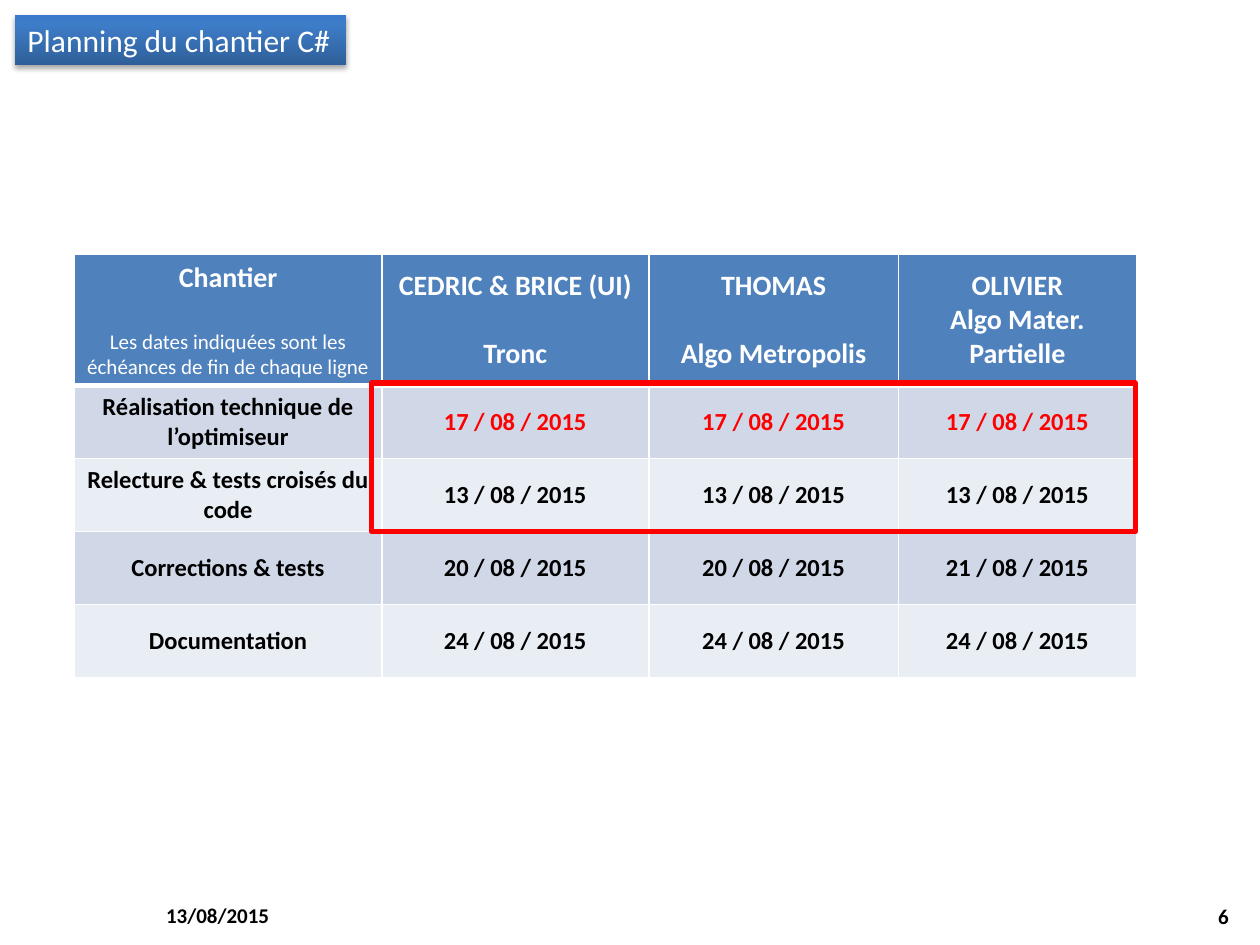
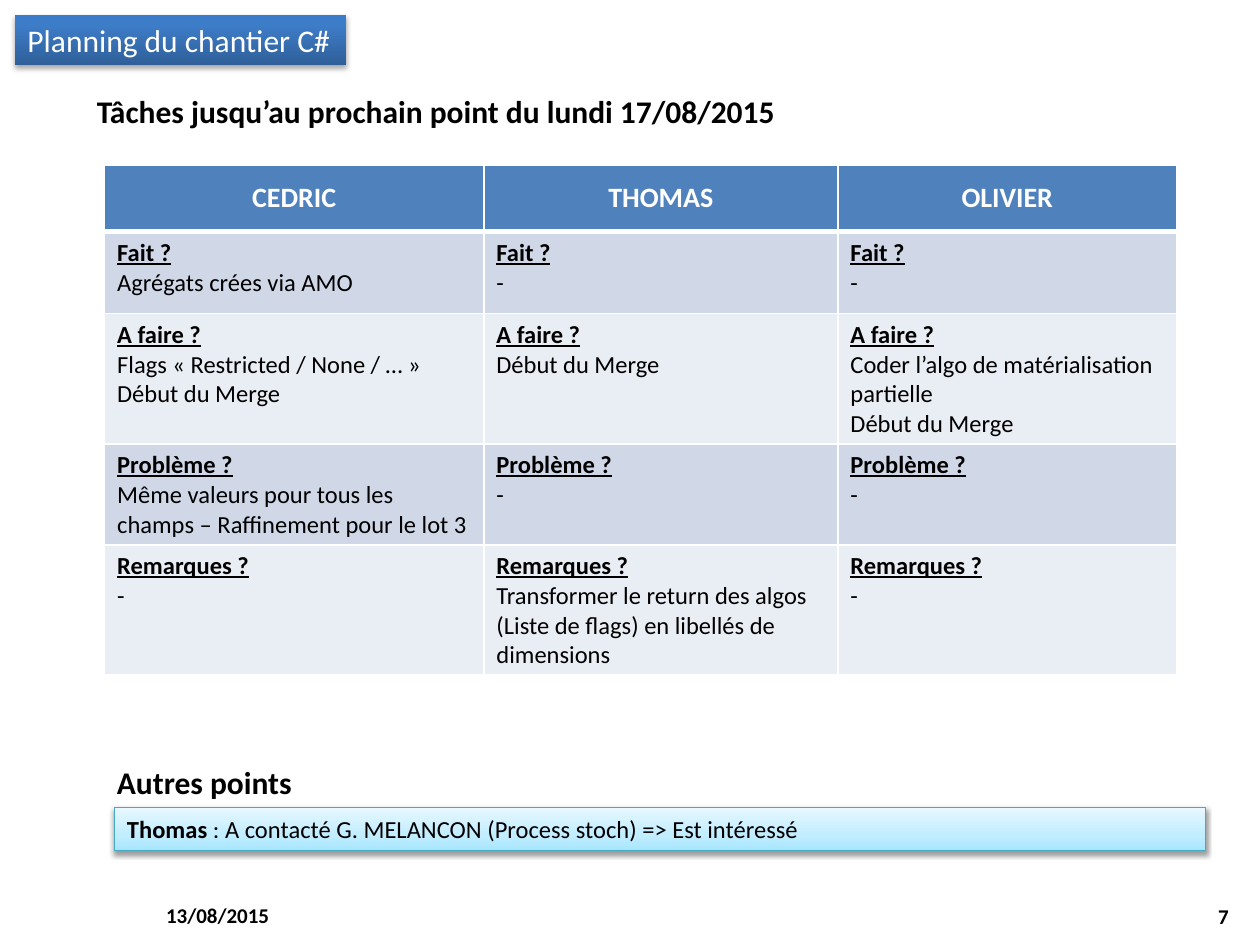
from lxml import etree
from pptx import Presentation
from pptx.dml.color import RGBColor
from pptx.enum.shapes import MSO_SHAPE
from pptx.enum.text import MSO_ANCHOR, PP_ALIGN
from pptx.oxml.ns import qn
from pptx.util import Inches, Pt

RECTANGLE = MSO_SHAPE.RECTANGLE
TOP, MIDDLE = MSO_ANCHOR.TOP, MSO_ANCHOR.MIDDLE
LEFT, CENTER, RIGHT = PP_ALIGN.LEFT, PP_ALIGN.CENTER, PP_ALIGN.RIGHT

FONT = "Calibri"
GRID_UNIT = Inches(0.1)
COLORS = {
    "white": "FFFFFF", "black": "000000", "red": "FF0000",
    "header": "4F81BD", "odd_row": "D0D8E8", "even_row": "E9EDF4",
    "note_line": "46AAC5",
}
TITLE_GRADIENT = [(0, "2F5F99"), (80, "3D7CC7"), (100, "3A7CCB")]
NOTE_GRADIENT = [(0, "A7E6FF"), (35, "C1EDFF"), (100, "E7F8FF")]

TITLE = "Planning du chantier C#"
MEETING_DATE = "13/08/2015"

DEADLINE_HEADERS = [
    ("Chantier", "Les dates indiquées sont les échéances de fin de chaque ligne"),
    ("CEDRIC & BRICE (UI)", "Tronc"),
    ("THOMAS", "Algo Metropolis"),
    ("OLIVIER", "Algo Mater. Partielle"),
]
DEADLINES = [
    ("Réalisation technique de l’optimiseur", ["17"] * 3),
    ("Relecture & tests croisés du code", ["13"] * 3),
    ("Corrections & tests", ["20", "20", "21"]),
    ("Documentation", ["24"] * 3),
]
PEOPLE = ["CEDRIC", "THOMAS", "OLIVIER"]
TASKS = [
    ("Fait ?", [["Agrégats crées via AMO"], ["-"], ["-"]]),
    ("A faire ?", [
        ["Flags « Restricted / None / … »", "Début du Merge"],
        ["Début du Merge"],
        ["Coder l’algo de matérialisation partielle", "Début du Merge"],
    ]),
    ("Problème ?", [
        ["Même valeurs pour tous les champs – Raffinement pour le lot 3"],
        ["-"], ["-"],
    ]),
    ("Remarques ?", [
        ["-"],
        ["Transformer le return des algos (Liste de flags) en libellés de dimensions"],
        ["-"],
    ]),
]


def grid(*units):
    return [round(unit * GRID_UNIT) for unit in units]


def rgb(name):
    return RGBColor.from_string(COLORS[name])


def add_text(paragraph, text, size=14, color="black", bold=False,
             underline=False, align=LEFT, before=0):
    paragraph.alignment = align
    paragraph.space_before = Pt(before)
    run = paragraph.add_run()
    run.text = text
    font = run.font
    font.name, font.size = FONT, Pt(size)
    font.bold, font.underline = bold, underline
    font.color.rgb = rgb(color)


def add_lines(frame, lines):
    for index, (text, style) in enumerate(lines):
        paragraph = frame.add_paragraph() if index else frame.paragraphs[0]
        add_text(paragraph, text, **style)


def add_label(slide, box, text, anchor=TOP, wrap=False, **style):
    frame = slide.shapes.add_textbox(*grid(*box)).text_frame
    frame.word_wrap = wrap
    frame.vertical_anchor = anchor
    add_text(frame.paragraphs[0], text, **style)


def add_rectangle(slide, box, line=None, width=0.75):
    shape = slide.shapes.add_shape(RECTANGLE, *grid(*box))
    shape.shadow.inherit = False
    shape.fill.background()
    if line:
        shape.line.color.rgb = rgb(line)
        shape.line.width = Pt(width)
    else:
        shape.line.fill.background()
    return shape


def add_color(parent, value):
    return etree.SubElement(parent, qn("a:srgbClr"), val=value)


def add_band(slide, box, stops, opacity, distance, line=None, wrap=True):
    shape = add_rectangle(slide, box, line)
    shape.fill.gradient()
    shape.fill.gradient_angle = 90
    properties = shape._element.spPr
    stop_list = properties.find(".//" + qn("a:gsLst"))
    for stop in list(stop_list):
        stop_list.remove(stop)
    for position, color in stops:
        stop = etree.SubElement(stop_list, qn("a:gs"), pos=str(position * 1000))
        add_color(stop, color)
    shadow = etree.SubElement(
        properties.find(qn("a:effectLst")), qn("a:outerShdw"),
        blurRad=str(Pt(3.1)), dist=str(Pt(distance)), dir="5400000",
        rotWithShape="0")
    shadow_color = add_color(shadow, COLORS["black"])
    etree.SubElement(shadow_color, qn("a:alpha"), val=str(opacity * 1000))
    frame = shape.text_frame
    frame.word_wrap = wrap
    frame.vertical_anchor = TOP
    return frame.paragraphs[0]


def set_borders(cell, top, bottom):
    properties = cell._tc.get_or_add_tcPr()
    widths = [("L", 1), ("R", 1), ("T", top), ("B", bottom)]
    for index, (side, width) in enumerate(widths):
        border = etree.Element(qn("a:ln" + side), w=str(Pt(width)))
        add_color(etree.SubElement(border, qn("a:solidFill")), COLORS["white"])
        properties.insert(index, border)


def add_table(slide, left, top, columns, rows, contents, body_anchor):
    box = grid(left, top, sum(columns), sum(rows))
    table = slide.shapes.add_table(len(rows), len(columns), *box).table
    for column, width in zip(table.columns, grid(*columns)):
        column.width = width
    for row, height in zip(table.rows, grid(*rows)):
        row.height = height
    for row_index, row_contents in enumerate(contents):
        header = row_index == 0
        stripe = "odd_row" if row_index % 2 else "even_row"
        for column_index, lines in enumerate(row_contents):
            cell = table.cell(row_index, column_index)
            cell.fill.solid()
            cell.fill.fore_color.rgb = rgb("header" if header else stripe)
            cell.vertical_anchor = MIDDLE if header else body_anchor
            set_borders(cell, 3 if row_index == 1 else 1, 3 if header else 1)
            add_lines(cell.text_frame, lines)


def add_planning_slide(presentation, number):
    slide = presentation.slides.add_slide(presentation.slide_layouts[6])
    footer = {"anchor": MIDDLE, "wrap": True, "size": 12, "bold": True}
    add_label(slide, (12.2, 70.6, 23.3, 4), MEETING_DATE, **footer)
    add_label(slide, (75.2, 70.7, 23.3, 4), str(number), align=RIGHT, **footer)
    title = add_band(slide, (1.2, 1.2, 26.3, 4), TITLE_GRADIENT, 35, 1.8, wrap=False)
    add_text(title, TITLE, size=18, color="white")
    return slide


def build_deadlines(presentation):
    slide = add_planning_slide(presentation, 6)
    heading = {"size": 16, "color": "white", "bold": True, "align": CENTER}
    caption = {**heading, "size": 12, "bold": False, "before": 19.5}
    body = {"bold": True, "align": CENTER}
    header_row = []
    for name, topic in DEADLINE_HEADERS:
        if name == "Chantier":
            topic_style = caption
        else:
            topic_style = {**heading, "before": 0 if name == "OLIVIER" else 19.5}
        header_row.append([(name, heading), (topic, topic_style)])
    contents = [header_row]
    for index, (stage, days) in enumerate(DEADLINES):
        date_style = {**body, "color": "black" if index else "red"}
        dates = [[(f"{day} / 08 / 2015", date_style)] for day in days]
        contents.append([[(stage, body)], *dates])
    add_table(slide, 5.9, 20.2, [24.4, 21.2, 19.8, 18.9],
              [10.2] + [5.8] * len(DEADLINES), contents, MIDDLE)
    add_rectangle(slide, (29.5, 30.4, 60.6, 11.8), "red", 3)


def build_tasks(presentation):
    slide = add_planning_slide(presentation, 7)
    heading = {"size": 16, "color": "white", "bold": True, "align": CENTER}
    question_style = {"bold": True, "underline": True}
    contents = [[[(person, heading)] for person in PEOPLE]]
    for question, answers in TASKS:
        contents.append([
            [(question, question_style)] + [(line, {}) for line in answer]
            for answer in answers])
    add_table(slide, 8.3, 13.1, [30.1, 28.1, 26.9],
              [5.3, 6.5, 10.3, 8, 10.3], contents, TOP)
    section = {"size": 18, "bold": True}
    add_label(slide, (6.7, 6.8, 56.3, 4),
              "Tâches jusqu’au prochain point du lundi 17/08/2015", **section)
    add_label(slide, (8.3, 60.1, 16, 4), "Autres points", **section)
    note = add_band(slide, (9.1, 64.1, 86.6, 3.4), NOTE_GRADIENT, 38, 1.6, "note_line")
    add_text(note, "Thomas", bold=True)
    add_text(note, " : A contacté G. MELANCON (Process stoch) => Est intéressé")


def main():
    presentation = Presentation()
    presentation.slide_width, presentation.slide_height = grid(100, 75)
    build_deadlines(presentation)
    build_tasks(presentation)
    presentation.save("out.pptx")


if __name__ == "__main__":
    main()
